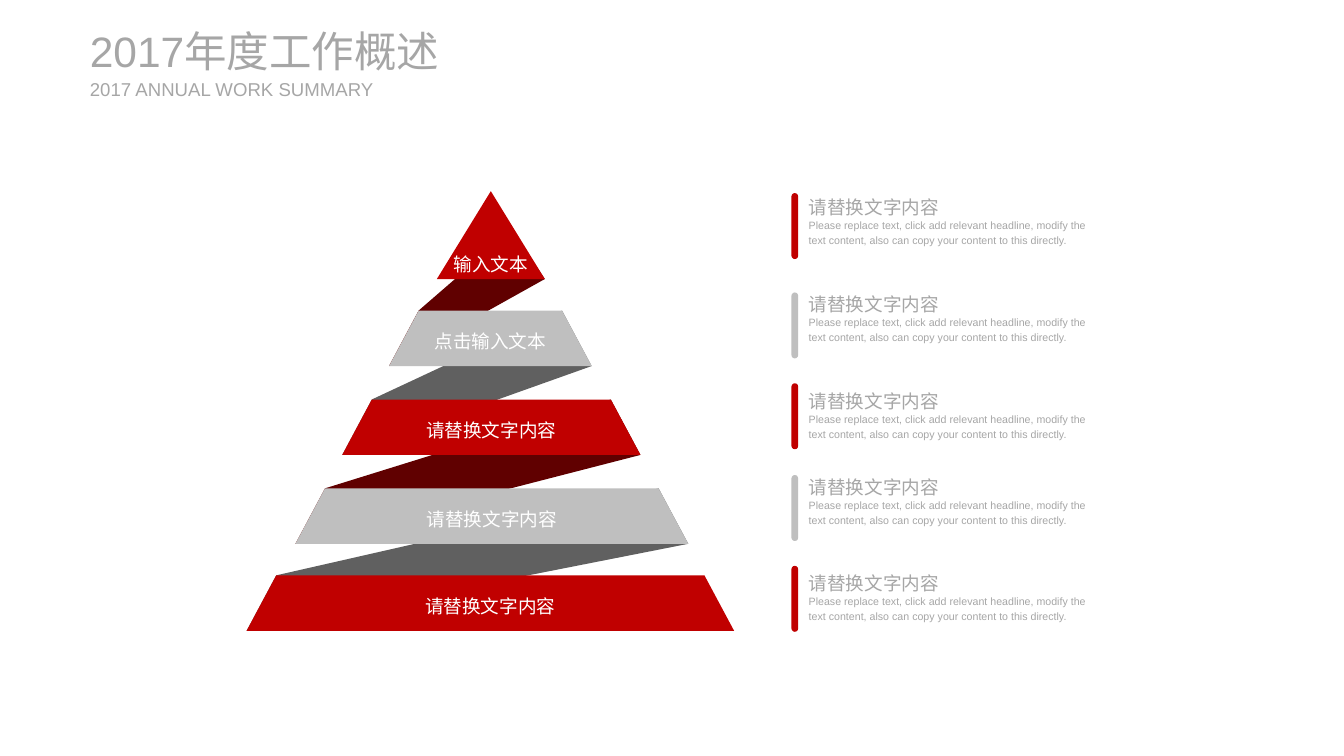
from dataclasses import dataclass

from pptx import Presentation
from pptx.dml.color import RGBColor
from pptx.enum.shapes import MSO_SHAPE
from pptx.enum.text import MSO_ANCHOR, MSO_AUTO_SIZE, PP_ALIGN
from pptx.util import Inches, Pt

RED, SILVER, GREY, WHITE = "C00000", "BFBFBF", "A6A6A6", "FFFFFF"
DARK = {RED: "600000", SILVER: "606060"}
HEAD = "请替换文字内容"
BODY = ("Please replace text, click add relevant headline, modify the "
        "text content, also can copy your content to this directly.")


@dataclass
class Tier:
    text: str
    left: float
    top: float
    width: float
    color: str
    span: float
    height: float = 0.58
    inset: float = 0.31
    fold: float = 0.31
    drop: float = 0.0
    lift: float = 0.52

    @property
    def right(self) -> float:
        return self.left + self.width

    @property
    def base(self) -> float:
        return self.top + self.height


@dataclass
class Note:
    top: float
    bar: float
    color: str


TIERS = [
    Tier("输入文本", 4.57, 2.0, 1.13, RED, 1.13, height=0.92, inset=0.565,
         fold=0.34, drop=0.4, lift=0.41),
    Tier("点击输入文本", 4.07, 3.25, 2.12, SILVER, 1.47),
    Tier(HEAD, 3.58, 4.18, 3.12, RED, 2.47),
    Tier(HEAD, 3.09, 5.11, 4.11, SILVER, 3.52),
    Tier(HEAD, 2.58, 6.02, 5.1, RED, 4.45),
]
NOTES = [
    Note(2.0, 2.02, RED),
    Note(3.02, 3.06, SILVER),
    Note(4.03, 4.01, RED),
    Note(4.93, 4.97, SILVER),
    Note(5.94, 5.92, RED),
]


def paint(shape, color: str) -> None:
    shape.shadow.inherit = False
    shape.fill.solid()
    shape.fill.fore_color.rgb = RGBColor.from_string(color)
    shape.line.fill.background()


def write(slide, text: str, box: tuple, *, size: int = 14, color: str = GREY,
          align=PP_ALIGN.LEFT, anchor=MSO_ANCHOR.TOP, lead: float = 1.2,
          wrap: bool = True, holder=None) -> None:
    left, top, width, height = (Inches(n) for n in box)
    shape = holder
    if shape is None:
        shape = slide.shapes.add_textbox(left, top, width, height)
    else:
        shape.left, shape.top, shape.width, shape.height = left, top, width, height
    frame = shape.text_frame
    frame.margin_left = frame.margin_right = 0
    frame.margin_top = frame.margin_bottom = 0
    frame.auto_size = MSO_AUTO_SIZE.NONE
    frame.word_wrap = wrap
    frame.vertical_anchor = anchor
    frame.text = text
    line = frame.paragraphs[0]
    line.alignment = align
    line.line_spacing = lead
    line.space_before = Pt(0)
    font = line.font
    font.name = "Arial"
    font.size = Pt(size)
    font.color.rgb = RGBColor.from_string(color)


def trace(slide, points: list, color: str) -> None:
    spots = [(Inches(x), Inches(y)) for x, y in points]
    form = slide.shapes.build_freeform(*spots[0])
    form.add_line_segments(spots[1:], close=True)
    paint(form.convert_to_shape(), color)


def draw_fold(slide, upper: Tier, lower: Tier) -> None:
    trace(slide, [
        (upper.right - upper.fold, upper.top + upper.drop),
        (lower.left + lower.inset, lower.top),
        (lower.left, lower.base),
        (upper.right, upper.base),
    ], DARK[upper.color])


def draw_tier(slide, tier: Tier) -> None:
    trace(slide, [
        (tier.left + tier.inset, tier.top),
        (tier.right - tier.inset, tier.top),
        (tier.right, tier.base),
        (tier.left, tier.base),
    ], tier.color)
    mid = tier.left + tier.width / 2
    write(slide, tier.text,
          (mid - tier.span / 2, tier.base - tier.lift, tier.span, 0.47),
          color=WHITE, align=PP_ALIGN.CENTER, anchor=MSO_ANCHOR.MIDDLE)


def draw_note(slide, note: Note) -> None:
    bar = slide.shapes.add_shape(
        MSO_SHAPE.ROUND_2_SAME_RECTANGLE,
        Inches(8.28), Inches(note.bar), Inches(0.07), Inches(0.69))
    bar.adjustments[0] = bar.adjustments[1] = 0.5
    paint(bar, note.color)
    write(slide, BODY, (8.46, note.top + 0.26, 2.95, 0.31), size=8)
    write(slide, HEAD, (8.46, note.top, 1.37, 0.28), wrap=False)


def main() -> None:
    deck = Presentation()
    deck.slide_width, deck.slide_height = Inches(14.06), Inches(7.91)
    slide = deck.slides.add_slide(deck.slide_layouts[0])
    title, sub = slide.placeholders
    write(slide, "2017年度工作概述", (0.94, 0.26, 4.32, 0.54), size=32,
          anchor=MSO_ANCHOR.MIDDLE, lead=1.0, holder=title)
    write(slide, "2017 ANNUAL WORK SUMMARY", (0.94, 0.81, 3.07, 0.24),
          anchor=MSO_ANCHOR.MIDDLE, lead=1.0, holder=sub)
    for upper, lower in zip(TIERS, TIERS[1:]):
        draw_fold(slide, upper, lower)
    for tier in TIERS:
        draw_tier(slide, tier)
    for note in NOTES:
        draw_note(slide, note)
    deck.save("out.pptx")


if __name__ == "__main__":
    main()
